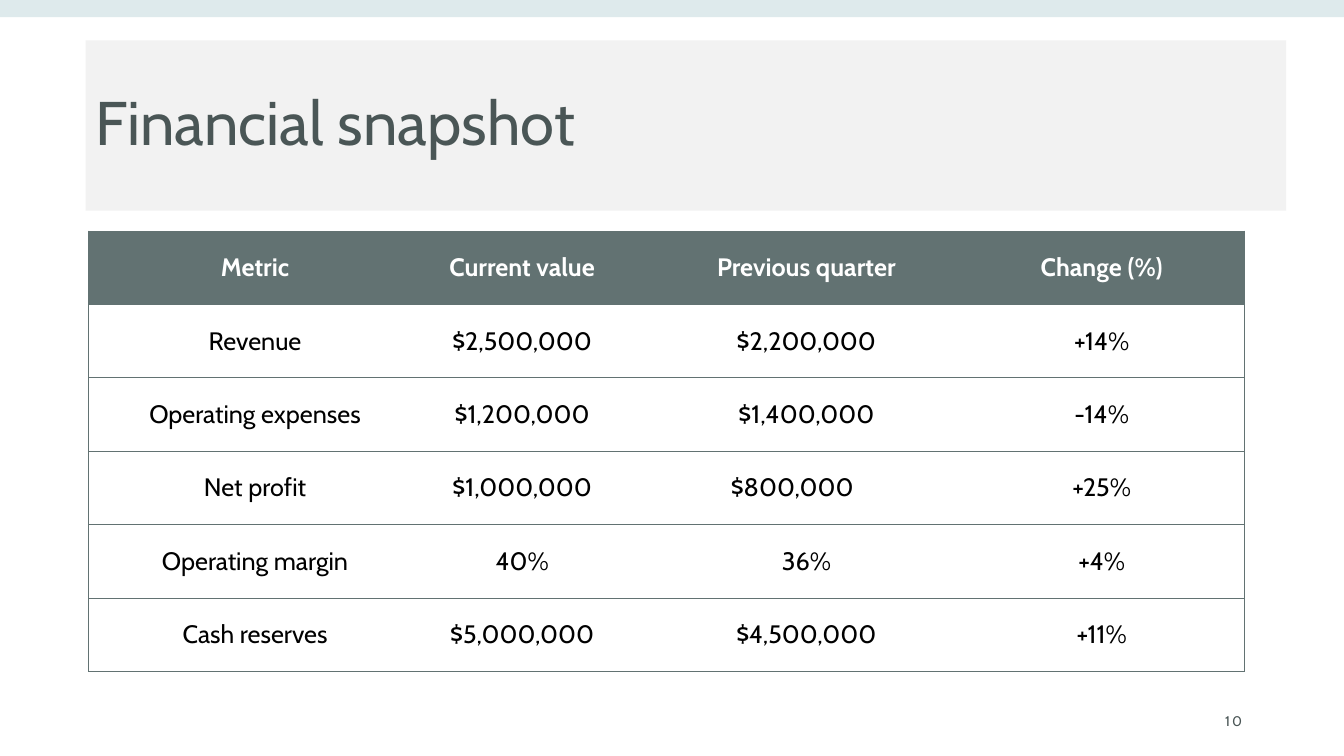
from dataclasses import dataclass

from lxml import etree
from pptx import Presentation
from pptx import util as u
from pptx.dml.color import RGBColor
from pptx.enum import shapes, text
from pptx.oxml.ns import qn


@dataclass(frozen=True)
class Theme:
    font: str = "Cabin"
    band: str = "BED6DA"
    panel: str = "F2F2F2"
    ink: str = "4A5656"
    head: str = "627272"
    white: str = "FFFFFF"
    black: str = "000000"
    title: float = 44
    body: float = 18
    small: float = 10
    rule: float = 0.5


COLS, ROWS = 133.33, 75  # grid of tenth-inch units
ALIGN, ANCHOR = text.PP_ALIGN, text.MSO_ANCHOR


def grid(count):
    return u.Inches(count / 10)


def write(frame, words, size, color, bold=False, align=ALIGN.LEFT,
          indent=0, after=None, lines=None, track=0):
    para = frame.paragraphs[0]
    para.alignment = align
    para.line_spacing = lines
    if after is not None:
        para.space_after = u.Pt(after)
    if indent:
        props = para._p.get_or_add_pPr()
        props.set("marL", str(grid(indent)))
        props.set("indent", "0")
    run = para.add_run()
    run.text = words
    font = run.font
    font.name, font.size, font.bold = Theme.font, u.Pt(size), bold
    font.color.rgb = RGBColor.from_string(color)
    if track:
        run._r.get_or_add_rPr().set("spc", str(int(track * 100)))


class Page:
    def __init__(self, deck, theme):
        self.theme = theme
        self.slide = deck.slides.add_slide(deck.slide_layouts[6])

    def panel(self, area, color, alpha=100):
        box = self.slide.shapes.add_shape(
            shapes.MSO_SHAPE.RECTANGLE, *map(grid, area))
        box.shadow.inherit = False
        box.fill.solid()
        box.fill.fore_color.rgb = RGBColor.from_string(color)
        box.line.fill.background()
        if alpha < 100:
            tint = box._element.spPr.find(".//" + qn("a:srgbClr"))
            etree.SubElement(tint, qn("a:alpha"), val=str(alpha * 1000))
        return box

    def title(self, area, words):
        frame = self.panel(area, self.theme.panel).text_frame
        frame.word_wrap = True
        frame.vertical_anchor = ANCHOR.MIDDLE
        write(frame, words, self.theme.title, self.theme.ink, lines=0.9)

    def label(self, area, words, **style):
        frame = self.slide.shapes.add_textbox(*map(grid, area)).text_frame
        frame.word_wrap = True
        frame.vertical_anchor = ANCHOR.MIDDLE
        write(frame, words, self.theme.small, self.theme.ink, **style)

    def edges(self, cell, shown):
        """Rule the sides named in shown and clear the others."""
        props = cell._tc.get_or_add_tcPr()
        for spot, side in enumerate("LRTB"):
            line = etree.Element(qn("a:ln" + side),
                                 w=str(u.Pt(self.theme.rule)))
            if side in shown:
                fill = etree.SubElement(line, qn("a:solidFill"))
                etree.SubElement(fill, qn("a:srgbClr"), val=self.theme.head)
            else:
                etree.SubElement(line, qn("a:noFill"))
            props.insert(spot, line)

    def table(self, left, top, widths, height, data):
        theme = self.theme
        area = (left, top, sum(widths), height * len(data))
        table = self.slide.shapes.add_table(
            len(data), len(widths), *map(grid, area)).table
        table.horz_banding = table.first_row = False
        for col, width in zip(table.columns, widths):
            col.width = grid(width)
        last = len(widths) - 1
        for r, values in enumerate(data):
            table.rows[r].height = grid(height)
            for c, words in enumerate(values):
                cell = table.cell(r, c)
                cell.vertical_anchor = ANCHOR.MIDDLE
                if r == 0:
                    cell.fill.solid()
                    cell.fill.fore_color.rgb = RGBColor.from_string(theme.head)
                else:
                    cell.fill.background()
                self.edges(cell, "TB" + "L" * (c == 0) + "R" * (c == last))
                write(cell.text_frame, words, theme.body,
                      theme.black if r else theme.white, bold=r == 0,
                      align=ALIGN.CENTER, indent=0 if c else 3,
                      after=6 if r and 0 < c < last else None)


DATA = [
    ("Metric", "Current value", "Previous quarter", "Change (%)"),
    ("Revenue", "$2,500,000", "$2,200,000", "+14%"),
    ("Operating expenses", "$1,200,000", "$1,400,000", "-14%"),
    ("Net profit", "$1,000,000", "$800,000\t", "+25%"),
    ("Operating margin", "40%", "36%", "+4%"),
    ("Cash reserves", "$5,000,000", "$4,500,000", "+11%"),
]


def main():
    deck = Presentation()
    deck.slide_width, deck.slide_height = grid(COLS), grid(ROWS)
    theme = Theme()
    page = Page(deck, theme)
    page.panel((0, 0, COLS, 1.7), theme.band, alpha=50)
    page.title((8.5, 4, 119.1, 16.9), "Financial snapshot")
    page.table(8.8, 22.9, (30, 26, 30.4, 28.2), 7.29, DATA)
    page.label((94.2, 69.5, 30, 4), "10", align=ALIGN.RIGHT, track=1.5)
    deck.save("out.pptx")


if __name__ == "__main__":
    main()
